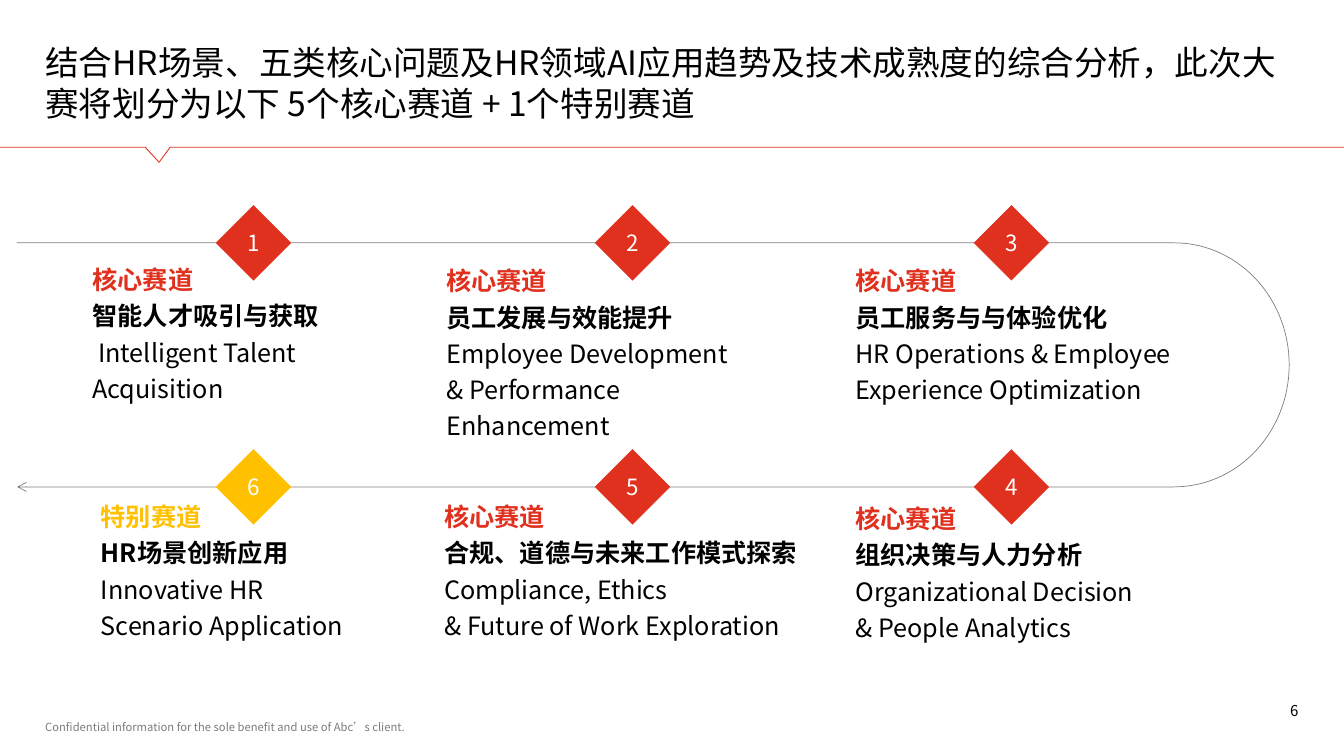
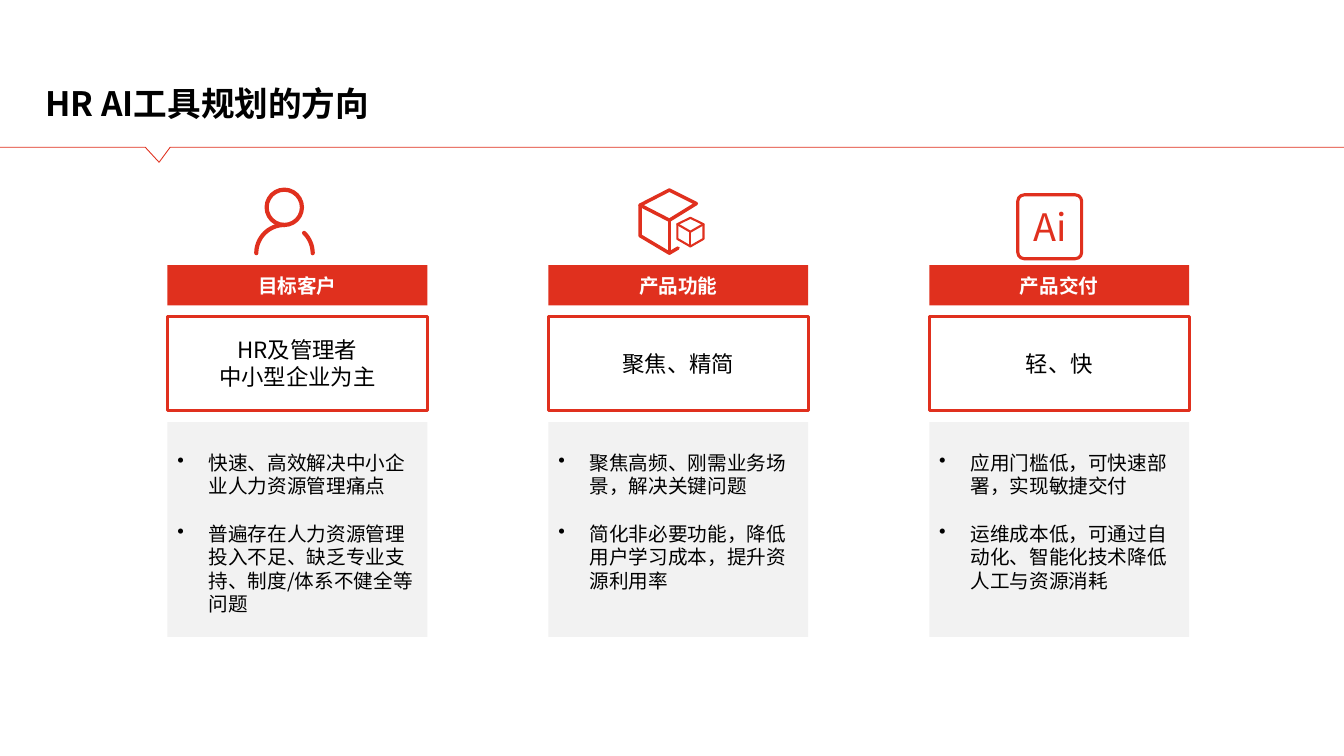
import math
import pptx
import pptx.util
import pptx.dml.color
import pptx.enum.shapes
import pptx.enum.text
import pptx.oxml
import pptx.oxml.ns

Cm, Pt = pptx.util.Cm, pptx.util.Pt
MSO = pptx.enum.shapes.MSO_SHAPE
ALIGN = pptx.enum.text.PP_ALIGN
ANCHOR = pptx.enum.text.MSO_ANCHOR
rgb = pptx.dml.color.RGBColor.from_string
qn = pptx.oxml.ns.qn

FONT = "Noto Sans CJK SC"
RED, AMBER, GREY = "E0301E", "FFC000", "F2F2F2"
BLACK, WHITE, MUTED = "000000", "FFFFFF", "7C7C7B"


def write(tf, lines, size, color=BLACK, bold=False, align=ALIGN.LEFT, anchor=ANCHOR.MIDDLE, inset=True):
    tf.word_wrap = True
    tf.auto_size = pptx.enum.text.MSO_AUTO_SIZE.NONE
    tf.vertical_anchor = anchor
    if not inset:
        tf.margin_left = tf.margin_right = tf.margin_top = tf.margin_bottom = 0
    for i, line in enumerate(lines):
        p = tf.paragraphs[0] if i == 0 else tf.add_paragraph()
        p.text = line
        p.alignment = align
        p.font.size = Pt(size)
        p.font.bold = bold
        p.font.color.rgb = rgb(color)
        p.font.name = FONT
        latin = p._p.find(".//" + qn("a:latin"))
        ea = latin.makeelement(qn("a:ea"), {"typeface": FONT})
        latin.addnext(ea)


def stroke(s, points, color, width, close=False):
    points = [(Cm(x), Cm(y)) for x, y in points]
    fb = s.shapes.build_freeform(*points[0])
    fb.add_line_segments(points[1:], close=close)
    sp = fb.convert_to_shape()
    sp.shadow.inherit = False
    sp.fill.background()
    sp.line.color.rgb = rgb(color)
    sp.line.width = Pt(width)
    sp.line._get_or_add_ln().set("cap", "rnd")
    return sp


prs = pptx.Presentation()
prs.slide_width, prs.slide_height = Cm(33.87), Cm(19.05)
layout = prs.slide_layouts[5]

titles = [
    ("结合HR场景、五类核心问题及HR领域AI应用趋势及技术成熟度的综合分析，此次大赛将划分为以下 5个核心赛道 + 1个特别赛道", False),
    ("HR AI工具规划的方向", True),
]
slides = []
for text, bold in titles:
    s = prs.slides.add_slide(layout)
    title = s.shapes.title
    title.left, title.top, title.width, title.height = Cm(1.14), Cm(1.04), Cm(31.57), Cm(2.06)
    write(title.text_frame, [text], 24, bold=bold, anchor=ANCHOR.BOTTOM, inset=False)
    slides.append(s)

s = slides[0]
divider = stroke(s, [(33.87, 3.71), (4.29, 3.71), (4.01, 4.09), (3.66, 3.71), (0, 3.71)], RED, 0.63)
layout.placeholders[0].element.getparent().append(divider.element)

notes = [
    (1.14, 18.16, 10.72, 0.33, "Confidential information for the sole benefit and use of Abc’s client.", 8, MUTED, ALIGN.LEFT),
    (24.82, 17.68, 7.9, 0.46, "6", 10.7, BLACK, ALIGN.RIGHT),
]
for x, y, w, h, text, size, color, align in notes:
    tb = s.shapes.add_textbox(Cm(x), Cm(y), Cm(w), Cm(h))
    write(tb.text_frame, [text], size, color, align=align, inset=False)

top_y, bottom_y, left_x, bend_x, bend_w = 6.12, 12.27, 0.43, 29.59, 2.9
mid_y, bend_h = (top_y + bottom_y) / 2, (bottom_y - top_y) / 2
angles = [math.radians(a) for a in range(90, -91, -3)]
bend = [(bend_x + bend_w * math.cos(a), mid_y + bend_h * math.sin(a)) for a in angles]
track = stroke(s, [(left_x, bottom_y)] + bend + [(left_x, top_y)], BLACK, 0.5)
ln = track.line._get_or_add_ln()
clr = ln.find(".//" + qn("a:srgbClr"))
clr.append(clr.makeelement(qn("a:alpha"), {"val": "50000"}))
ln.append(ln.makeelement(qn("a:headEnd"), {"type": "arrow"}))

stops = [
    (0, top_y, RED, 2.08, 6.83, 8.2, 3.02,
     ["核心赛道", "智能人才吸引与获取", " Intelligent Talent Acquisition"]),
    (1, top_y, RED, 11, 6.68, 8.2, 4.29,
     ["核心赛道", "员工发展与效能提升", "Employee Development", "& Performance Enhancement"]),
    (2, top_y, RED, 21.31, 6.86, 9.14, 3.02,
     ["核心赛道", "员工服务与与体验优化", "HR Operations & Employee", "Experience Optimization"]),
    (2, bottom_y, RED, 21.31, 13, 8.2, 2.72,
     ["核心赛道", "组织决策与人力分析", "Organizational Decision", "& People Analytics"]),
    (1, bottom_y, RED, 10.95, 12.9, 9.98, 2.82,
     ["核心赛道", "合规、道德与未来工作模式探索", "Compliance, Ethics", "& Future of Work Exploration"]),
    (0, bottom_y, AMBER, 2.29, 12.52, 8.2, 3.58,
     ["特别赛道", "HR场景创新应用", "Innovative HR", "Scenario Application"]),
]
side = 1.9
for number, (col, row_y, color, x, y, w, h, lines) in enumerate(stops, 1):
    sp = s.shapes.add_shape(MSO.FLOWCHART_DECISION, Cm(5.44 + 9.55 * col), Cm(row_y - side / 2), Cm(side), Cm(side))
    sp.shadow.inherit = False
    sp.fill.solid()
    sp.fill.fore_color.rgb = rgb(color)
    sp.line.fill.background()
    write(sp.text_frame, [str(number)], 16, WHITE, align=ALIGN.CENTER, inset=False)
    tb = s.shapes.add_textbox(Cm(x), Cm(y), Cm(w), Cm(h))
    write(tb.text_frame, lines, 18)
    for i, p in enumerate(tb.text_frame.paragraphs):
        p.line_spacing = 1.2
        p.font.bold = i < 2
    tb.text_frame.paragraphs[0].font.color.rgb = rgb(color)

s = slides[1]
head = s.shapes.add_shape(MSO.OVAL, Cm(6.72), Cm(4.78), Cm(0.89), Cm(0.89))
ai = s.shapes.add_shape(MSO.ROUNDED_RECTANGLE, Cm(25.65), Cm(4.91), Cm(1.61), Cm(1.61))
ai.adjustments[0] = 0.1
for sp, width in [(head, 3), (ai, 2.25)]:
    sp.shadow.inherit = False
    sp.fill.background()
    sp.line.color.rgb = rgb(RED)
    sp.line.width = Pt(width)
write(ai.text_frame, ["Ai"], 27, RED, align=ALIGN.CENTER, inset=False)

for start, end in [(90, 180), (0, 46)]:
    arc = [math.radians(start + (end - start) * i / 20) for i in range(21)]
    stroke(s, [(7.17 + 0.71 * math.cos(a), 6.38 - 0.71 * math.sin(a)) for a in arc], RED, 3)

cube_lines = [
    ([(16.87, 4.79), (17.55, 5.13), (16.87, 5.55), (16.13, 5.17)], 2.5, True),
    ([(16.13, 5.17), (16.13, 5.94), (16.87, 6.38), (17.09, 6.25)], 2.5, False),
    ([(16.87, 5.55), (16.87, 6.38)], 2.5, False),
    ([(17.4, 5.49), (17.73, 5.65), (17.73, 6.02), (17.4, 6.21), (17.07, 6.02), (17.07, 5.65)], 1.5, True),
    ([(17.07, 5.65), (17.4, 5.84), (17.73, 5.65)], 1.5, False),
    ([(17.4, 5.84), (17.4, 6.21)], 1.5, False),
]
for points, width, close in cube_lines:
    stroke(s, points, RED, width, close)

columns = [
    ("目标客户", ["HR及管理者", "中小型企业为主"],
     ["快速、高效解决中小企业人力资源管理痛点", "普遍存在人力资源管理投入不足、缺乏专业支持、制度/体系不健全等问题"]),
    ("产品功能", ["聚焦、精简"],
     ["聚焦高频、刚需业务场景，解决关键问题", "简化非必要功能，降低用户学习成本，提升资源利用率"]),
    ("产品交付", ["轻、快"],
     ["应用门槛低，可快速部署，实现敏捷交付", "运维成本低，可通过自动化、智能化技术降低人工与资源消耗"]),
]
for i, (heading, summary, bullets) in enumerate(columns):
    boxes = []
    for y, h, fill in [(6.68, 1.02, RED), (7.98, 2.36, WHITE), (10.64, 5.41, GREY)]:
        sp = s.shapes.add_shape(MSO.RECTANGLE, Cm(4.22 + 9.6 * i), Cm(y), Cm(6.55), Cm(h))
        sp.shadow.inherit = False
        sp.fill.solid()
        sp.fill.fore_color.rgb = rgb(fill)
        sp.line.fill.background()
        boxes.append(sp)
    header, middle, body = boxes
    middle.line.color.rgb = rgb(RED)
    middle.line.width = Pt(2)
    write(header.text_frame, [heading], 14, WHITE, bold=True, align=ALIGN.CENTER)
    write(middle.text_frame, summary, 16, align=ALIGN.CENTER)
    tf = body.text_frame
    write(tf, bullets, 14, anchor=ANCHOR.TOP)
    tf.margin_top = Cm(0.72)
    tf.paragraphs[0].space_after = Pt(17)
    for p in tf.paragraphs:
        pPr = p._p.get_or_add_pPr()
        pPr.set("marL", str(Cm(0.79)))
        pPr.set("indent", str(-Cm(0.79)))
        bullet = pPr.makeelement(qn("a:buChar"), {"char": "•"})
        pPr.find(qn("a:defRPr")).addprevious(bullet)

prs.save("out.pptx")
